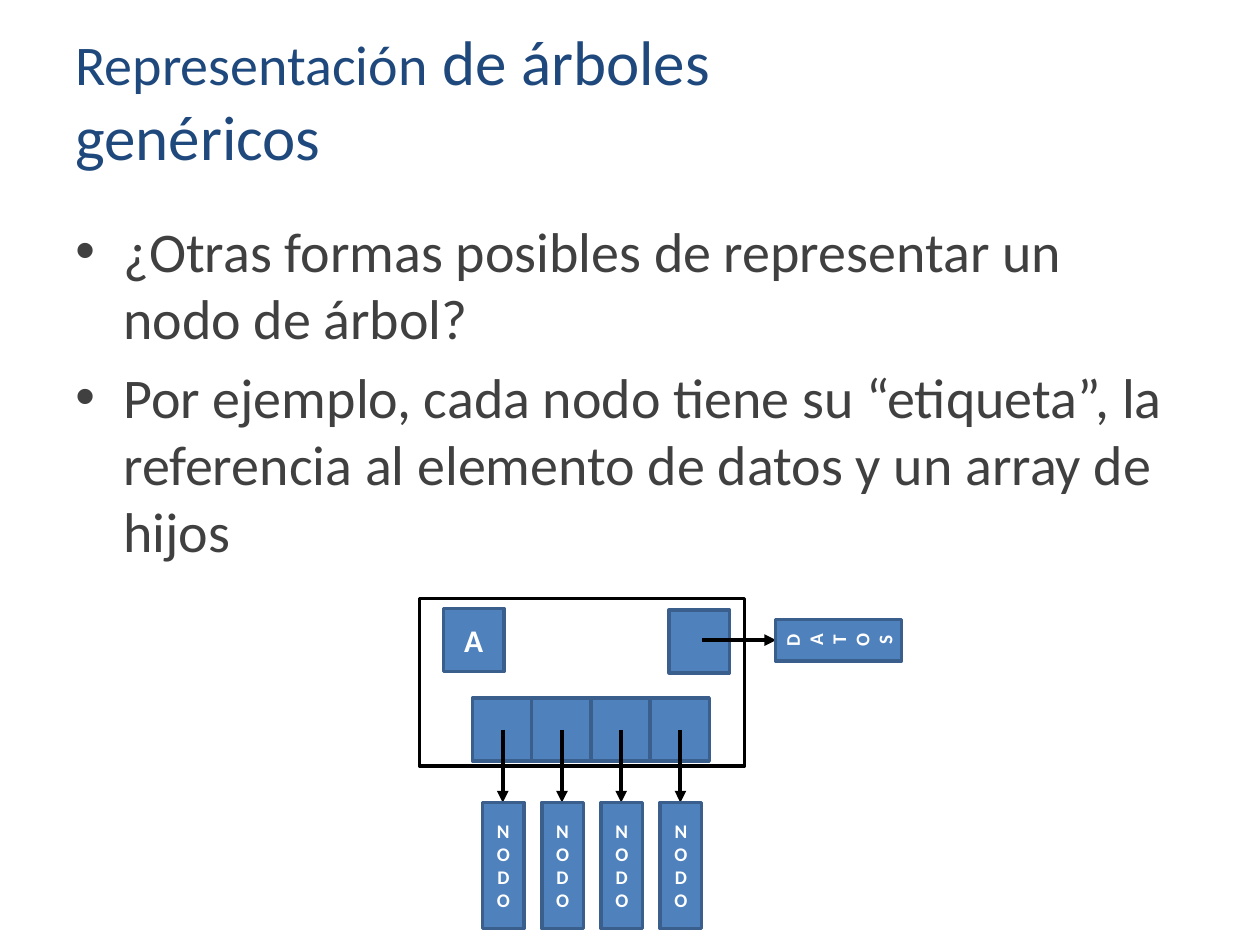
from dataclasses import dataclass
from typing import Any

from lxml.etree import SubElement
from pptx import Presentation
from pptx.dml.color import RGBColor
from pptx.enum.shapes import MSO_CONNECTOR as Connector, MSO_SHAPE as Shape
from pptx.enum.text import MSO_ANCHOR as Anchor, PP_ALIGN as Align
from pptx.oxml.ns import qn
from pptx.util import Inches, Pt

COLUMNS, ROWS = 100, 75
WIDTH, HEIGHT = Inches(10), Inches(7.5)
FONT = "Calibri"
BLUE, EDGE, BLACK, WHITE = "4F81BD", "3A5F8C", "000000", "FFFFFF"
TITLE_COLOUR, BODY_COLOUR = "1F497D", "404040"
CHILD_COUNT, CHILD_STEP = 4, 4.7


@dataclass(frozen=True)
class Area:
    column: float
    row: float
    columns: float
    rows: float

    def lengths(self) -> tuple[int, int, int, int]:
        return (across(self.column), down(self.row),
                across(self.columns), down(self.rows))


@dataclass(frozen=True)
class Box:
    area: Area
    text: str = ""
    size: float = 11
    fill: str = BLUE
    line: str = EDGE
    rotation: float = 0


@dataclass(frozen=True)
class Arrow:
    column: float
    row: float
    end_column: float
    end_row: float


def across(columns: float) -> int:
    return round(WIDTH * columns / COLUMNS)


def down(rows: float) -> int:
    return round(HEIGHT * rows / ROWS)


def colour(value: str) -> RGBColor:
    return RGBColor.from_string(value)


def apply(target: Any, formats: dict[str, Any]) -> None:
    for name, value in formats.items():
        setattr(target, name, value)


def add_run(paragraph: Any, text: str, size: float, shade: str, bold: bool = False) -> None:
    run = paragraph.add_run()
    run.text = text
    apply(run.font, {"name": FONT, "size": Pt(size), "bold": bold})
    run.font.color.rgb = colour(shade)


def add_text_frame(shapes: Any, area: Area, anchor: Any) -> Any:
    frame = shapes.add_textbox(*area.lengths()).text_frame
    apply(frame, {"word_wrap": True, "vertical_anchor": anchor})
    return frame


def add_bullet(paragraph: Any, text: str) -> None:
    paragraph.space_before = Pt(6.4)
    properties = paragraph._p.get_or_add_pPr()
    properties.set("marL", str(Inches(0.38)))
    properties.set("indent", str(-Inches(0.38)))
    SubElement(properties, qn("a:buFont"), typeface="Arial")
    SubElement(properties, qn("a:buChar"), char="•")
    add_run(paragraph, text, 32, BODY_COLOUR)


def draw_box(shapes: Any, box: Box) -> None:
    shape = shapes.add_shape(Shape.RECTANGLE, *box.area.lengths())
    shape.shadow.inherit = False
    shape.rotation = box.rotation
    shape.fill.solid()
    shape.fill.fore_color.rgb = colour(box.fill)
    shape.line.color.rgb = colour(box.line)
    shape.line.width = Pt(2)
    if box.text:
        apply(shape.text_frame, {"word_wrap": True, "vertical_anchor": Anchor.MIDDLE})
        paragraph = shape.text_frame.paragraphs[0]
        paragraph.alignment = Align.CENTER
        add_run(paragraph, box.text, box.size, WHITE, True)


def draw_arrow(shapes: Any, arrow: Arrow) -> None:
    connector = shapes.add_connector(
        Connector.STRAIGHT, across(arrow.column), down(arrow.row),
        across(arrow.end_column), down(arrow.end_row))
    connector.line.color.rgb = colour(BLACK)
    connector.line.width = Pt(2.25)
    SubElement(connector.line._get_or_add_ln(), qn("a:tailEnd"), type="triangle")
    SubElement(connector._element.spPr, qn("a:effectLst"))


def draw_child(shapes: Any, column: float) -> None:
    draw_box(shapes, Box(Area(column, 55.4, 4.7, 5)))
    draw_arrow(shapes, Arrow(column + 2.4, 57.9, column + 2.4, 63.7))
    draw_box(shapes, Box(Area(column + 0.8, 63.7, 3.3, 10), "NODO"))


def main() -> None:
    presentation = Presentation()
    apply(presentation, {"slide_width": WIDTH, "slide_height": HEIGHT})
    slide = presentation.slides.add_slide(presentation.slide_layouts[6])
    shapes = slide.shapes

    title = add_text_frame(shapes, Area(5, 0, 71, 15.5), Anchor.MIDDLE).paragraphs[0]
    add_run(title, "Representación", 32, TITLE_COLOUR)
    add_run(title, " de árboles genéricos", 36, TITLE_COLOUR)

    body = add_text_frame(shapes, Area(5, 16.7, 90, 54.6), Anchor.TOP)
    add_bullet(body.paragraphs[0], "¿Otras formas posibles de representar un nodo de árbol?")
    add_bullet(body.add_paragraph(), "Por ejemplo, cada nodo tiene su “etiqueta”, la "
               "referencia al elemento de datos y un array de hijos")

    node_boxes = [
        Box(Area(33.3, 47.5, 25.8, 13.3), fill=WHITE, line=BLACK),
        Box(Area(35.2, 48.3, 4.8, 5), "A", 18),
        Box(Area(53.1, 48.4, 4.8, 5)),
    ]
    for box in node_boxes:
        draw_box(shapes, box)

    data = shapes.add_group_shape().shapes
    draw_arrow(data, Arrow(55.7, 50.8, 61.6, 50.8))
    draw_box(data, Box(Area(64.9, 45.8, 3.3, 10), "DATOS", rotation=270))

    children = shapes.add_group_shape().shapes
    for index in range(CHILD_COUNT):
        draw_child(children, 37.5 + index * CHILD_STEP)

    presentation.save("out.pptx")


if __name__ == "__main__":
    main()
